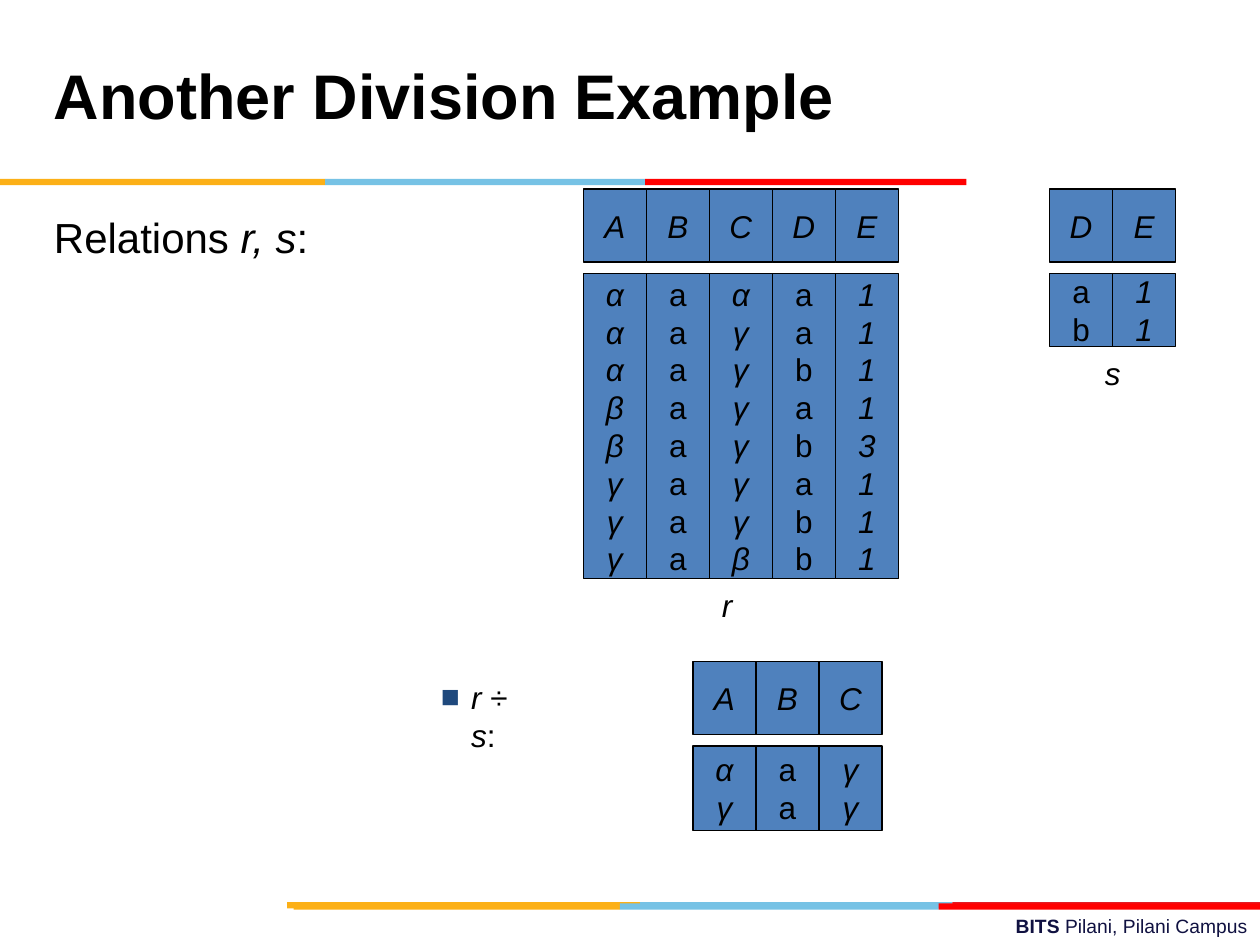
from lxml.etree import SubElement
from pptx import Presentation
from pptx.dml.color import RGBColor
from pptx.enum.shapes import MSO_SHAPE
from pptx.enum.text import MSO_ANCHOR, PP_ALIGN
from pptx.oxml.ns import qn
from pptx.util import Inches, Pt

BLACK = RGBColor(0x00, 0x00, 0x00)
NAVY = RGBColor(0x10, 0x11, 0x41)
BLUE = RGBColor(0x4F, 0x81, 0xBD)
AMBER = RGBColor(0xFC, 0xB0, 0x17)
SKY = RGBColor(0x76, 0xC2, 0xE5)
RED = RGBColor(0xFF, 0x00, 0x00)
CRIMSON = RGBColor(0xE3, 0x1C, 0x24)

COL = 0.5    # width of a relation's column
HEAD = 0.58  # height of its header
STEP = 0.67  # from header top to body top


def add_rect(slide, left, top, width, height, color):
    rect = slide.shapes.add_shape(MSO_SHAPE.RECTANGLE, Inches(left), Inches(top),
                                  Inches(width), Inches(height))
    rect.shadow.inherit = False
    rect.fill.solid()
    rect.fill.fore_color.rgb = color
    rect.line.fill.background()
    return rect


def style(font, size, color=BLACK, bold=False, italic=False):
    font.name = "Arial"
    font.size = Pt(size)
    font.color.rgb = color
    font.bold = bold
    font.italic = italic


def add_text(slide, box, runs, size, color=BLACK, align=PP_ALIGN.LEFT,
             anchor=MSO_ANCHOR.TOP, wrap=True):
    """Runs are (text, marks) pairs, with b for bold and i for italic."""
    frame = slide.shapes.add_textbox(*map(Inches, box)).text_frame
    frame.word_wrap = wrap
    frame.vertical_anchor = anchor
    line = frame.paragraphs[0]
    line.alignment = align
    for text, marks in runs:
        run = line.add_run()
        run.text = text
        style(run.font, size, color, "b" in marks, "i" in marks)
    return line


def add_bar(slide, top, edges, colors):
    """Coloured strip, cut at the given edges."""
    for left, right, color in zip(edges, edges[1:], colors):
        add_rect(slide, left, top, right - left, 0.05, color)


def add_cell(slide, left, top, height, values):
    cell = add_rect(slide, left, top, COL, height, BLUE)
    cell.line.color.rgb = BLACK
    cell.line.width = Pt(0.75)
    frame = cell.text_frame
    frame.word_wrap = False
    frame.vertical_anchor = MSO_ANCHOR.MIDDLE
    frame.text = "\n".join(values)
    for line in frame.paragraphs:
        line.alignment = PP_ALIGN.CENTER
        style(line.runs[0].font, 18, italic=line.text not in "ab")


def add_relation(slide, left, top, height, columns):
    """Header cells over body cells, one pair for each column."""
    for i, (name, values) in enumerate(columns.items()):
        x = left + i * COL
        add_cell(slide, x, top, HEAD, name)
        add_cell(slide, x, top + STEP, height, values)


def add_label(slide, box, name):
    add_text(slide, box, [(name, "i")], 18, align=PP_ALIGN.CENTER,
             anchor=MSO_ANCHOR.MIDDLE, wrap=False)


def add_result(slide, box):
    """Bulleted name of the quotient."""
    line = add_text(slide, box,
                    [("r ", "i"), ("÷ ", ""), ("s", "i"), (":", "")], 18)
    props = line._p.get_or_add_pPr()
    props.set("marL", str(Inches(0.24)))
    props.set("indent", str(Inches(-0.24)))
    color = SubElement(props, qn("a:buClr"))
    SubElement(color, qn("a:srgbClr"), val="1F497D")
    SubElement(props, qn("a:buFont"), typeface="Arial")
    SubElement(props, qn("a:buChar"), char="■")


def add_footer(slide):
    add_text(slide, (3.58, 7.21, 6.42, 0.29),
             [("BITS ", "b"), ("Pilani, Pilani Campus", "")],
             11, NAVY, PP_ALIGN.RIGHT)
    add_bar(slide, 7.16, (2.28, 5.08, 7.56, 10), (AMBER, SKY, CRIMSON))
    add_bar(slide, 7.17, (2.33, 4.92, 7.45, 10), (AMBER, SKY, RED))


def add_header(slide):
    add_bar(slide, 1.42, (0, 2.58, 5.12, 7.67), (AMBER, SKY, RED))
    title = add_text(slide, (0.33, 0.17, 6.92, 1.25),
                     [("Another Division Example", "b")], 36,
                     anchor=MSO_ANCHOR.MIDDLE)
    title.line_spacing = Pt(36)


def main():
    deck = Presentation()
    deck.slide_width, deck.slide_height = Inches(10), Inches(7.5)
    slide = deck.slides.add_slide(deck.slide_layouts[6])

    add_footer(slide)
    add_header(slide)
    add_text(slide, (0.33, 1.63, 9, 4.95),
             [("Relations ", ""), ("r, s", "i"), (":", "")], 24)

    # Relation r
    add_relation(slide, 4.63, 1.5, 2.42, {
        "A": "αααββγγγ", "B": "aaaaaaaa", "C": "αγγγγγγβ",
        "D": "aababab" "b", "E": "11113111"})
    add_label(slide, (5.63, 4.6, 0.28, 0.4), "r")

    # Relation s
    add_relation(slide, 8.33, 1.5, HEAD, {"D": "ab", "E": "11"})
    add_label(slide, (8.67, 2.76, 0.32, 0.4), "s")

    # Quotient
    add_relation(slide, 5.5, 5.25, 0.67, {"A": "αγ", "B": "aa", "C": "γγ"})
    add_result(slide, (3.4, 5.33, 0.95, 0.4))

    deck.save("out.pptx")


if __name__ == "__main__":
    main()
